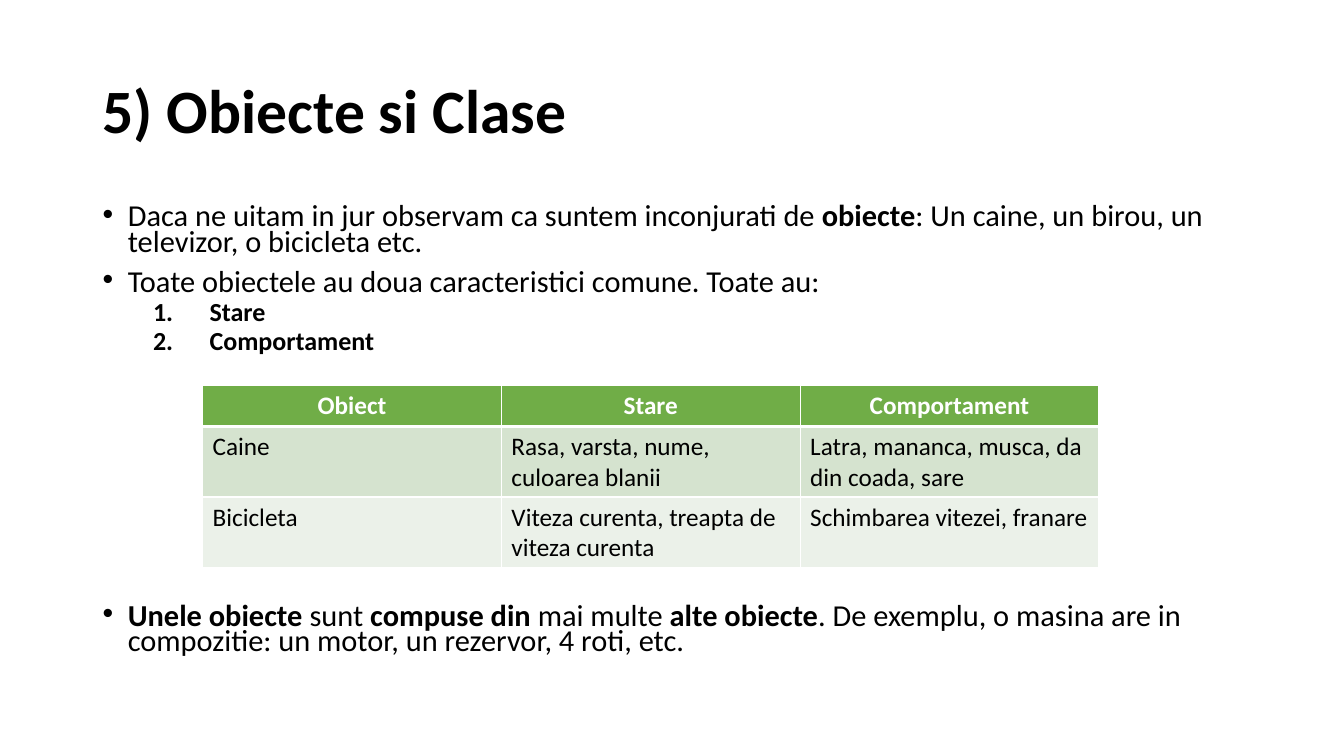
from dataclasses import dataclass

from lxml import etree
from pptx import Presentation, util as u
from pptx.dml.color import RGBColor
from pptx.enum import text
from pptx.oxml.ns import qn


@dataclass(frozen=True)
class Theme:
    font: str = "Calibri"
    ink: str = "000000"
    white: str = "FFFFFF"
    header: str = "70AD47"
    bands: tuple = ("D5E3CF", "EBF1E9")
    title: float = 44
    body: float = 21.7
    item: float = 18.6
    cell: float = 18


class Deck:
    def __init__(self, theme):
        self.theme = theme
        self.prs = Presentation()
        self.prs.slide_width = u.Inches(13.33)
        self.prs.slide_height = u.Inches(7.5)
        self.s = None

    def slide(self):
        self.s = self.prs.slides.add_slide(self.prs.slide_layouts[6])

    def style(self, p, size, color, bold=False):
        for r in p.runs:
            r.font.name = self.theme.font
            r.font.size = u.Pt(size)
            r.font.bold = bold
            r.font.color.rgb = RGBColor.from_string(color)

    def box(self, left, top, width, height, anchor=text.MSO_ANCHOR.TOP):
        sp = self.s.shapes.add_textbox(*map(u.Inches, (left, top, width, height)))
        tf = sp.text_frame
        tf.word_wrap = True
        tf.vertical_anchor = anchor
        return tf

    def title(self, words, *place):
        tf = self.box(*place, anchor=text.MSO_ANCHOR.MIDDLE)
        tf.text = words
        p = tf.paragraphs[0]
        p.line_spacing = 0.9
        self.style(p, self.theme.title, self.theme.ink, True)

    def bullets(self, items, *place):
        """Each item is (level, words); ** switches bold on and off."""
        tf = self.box(*place)
        for i, (level, words) in enumerate(items):
            p = tf.add_paragraph() if i else tf.paragraphs[0]
            p.level = level
            p.line_spacing = 0.7
            if i:
                p.space_before = u.Pt(5 if level else 10)
            margin, hang = (1.06, 0.56) if level else (0.25, 0.25)
            pPr = p._p.get_or_add_pPr()
            pPr.set("marL", str(u.Inches(margin)))
            pPr.set("indent", str(-u.Inches(hang)))
            if level:
                etree.SubElement(pPr, qn("a:buFont"), typeface="+mj-lt")
                etree.SubElement(pPr, qn("a:buAutoNum"), type="arabicPeriod")
            else:
                etree.SubElement(pPr, qn("a:buFont"), typeface="Arial")
                etree.SubElement(pPr, qn("a:buChar"), char="•")
            parts = words.split("**")
            for part in parts:
                p.add_run().text = part
            self.style(p, self.theme.item if level else self.theme.body, self.theme.ink)
            for r in p.runs[1::2]:
                r.font.bold = True
            for r in p.runs:
                if not r.text:
                    p._p.remove(r._r)

    def borders(self, cell, top, bottom):
        tcPr = cell._tc.get_or_add_tcPr()
        widths = {"a:lnL": 1, "a:lnR": 1, "a:lnT": top, "a:lnB": bottom}
        for i, (side, width) in enumerate(widths.items()):
            ln = etree.Element(qn(side), w=str(u.Pt(width)))
            fill = etree.SubElement(ln, qn("a:solidFill"))
            etree.SubElement(fill, qn("a:srgbClr"), val=self.theme.white)
            tcPr.insert(i, ln)

    def table(self, rows, heights, left, top, width):
        t = self.theme
        frame = self.s.shapes.add_table(
            len(rows), len(rows[0]),
            *map(u.Inches, (left, top, width, sum(heights))))
        tbl = frame.table
        for i, (row, height) in enumerate(zip(rows, heights)):
            tbl.rows[i].height = u.Inches(height)
            head = i == 0
            for j, words in enumerate(row):
                cell = tbl.cell(i, j)
                cell.text = words
                cell.fill.solid()
                color = t.header if head else t.bands[(i - 1) % 2]
                cell.fill.fore_color.rgb = RGBColor.from_string(color)
                self.borders(cell, 3 if i == 1 else 1, 3 if head else 1)
                p = cell.text_frame.paragraphs[0]
                if head:
                    p.alignment = text.PP_ALIGN.CENTER
                self.style(p, t.cell, t.white if head else t.ink, head)


def main():
    deck = Deck(Theme())
    deck.slide()

    # Title
    deck.title("5) Obiecte si Clase", 0.92, 0.4, 11.5, 1.45)

    # Introduction
    deck.bullets([
        (0, "Daca ne uitam in jur observam ca suntem inconjurati de **obiecte**: "
            "Un caine, un birou, un televizor, o bicicleta etc."),
        (0, "Toate obiectele au doua caracteristici comune. Toate au:"),
        (1, "**Stare**"),
        (1, "**Comportament**"),
    ], 0.92, 2, 11.5, 1.7)

    # Examples of objects
    deck.table([
        ("Obiect", "Stare", "Comportament"),
        ("Caine", "Rasa, varsta, nume, culoarea blanii",
         "Latra, mananca, musca, da din coada, sare"),
        ("Bicicleta", "Viteza curenta, treapta de viteza curenta",
         "Schimbarea vitezei, franare"),
    ], (0.41, 0.7, 0.7), 2.01, 3.82, 8.89)

    # Closing remark
    deck.bullets([
        (0, "**Unele obiecte **sunt **compuse din **mai multe **alte obiecte**. "
            "De exemplu, o masina are in compozitie: un motor, un rezervor, "
            "4 roti, etc."),
    ], 0.92, 5.96, 11.5, 0.8)

    deck.prs.save("out.pptx")


if __name__ == "__main__":
    main()
